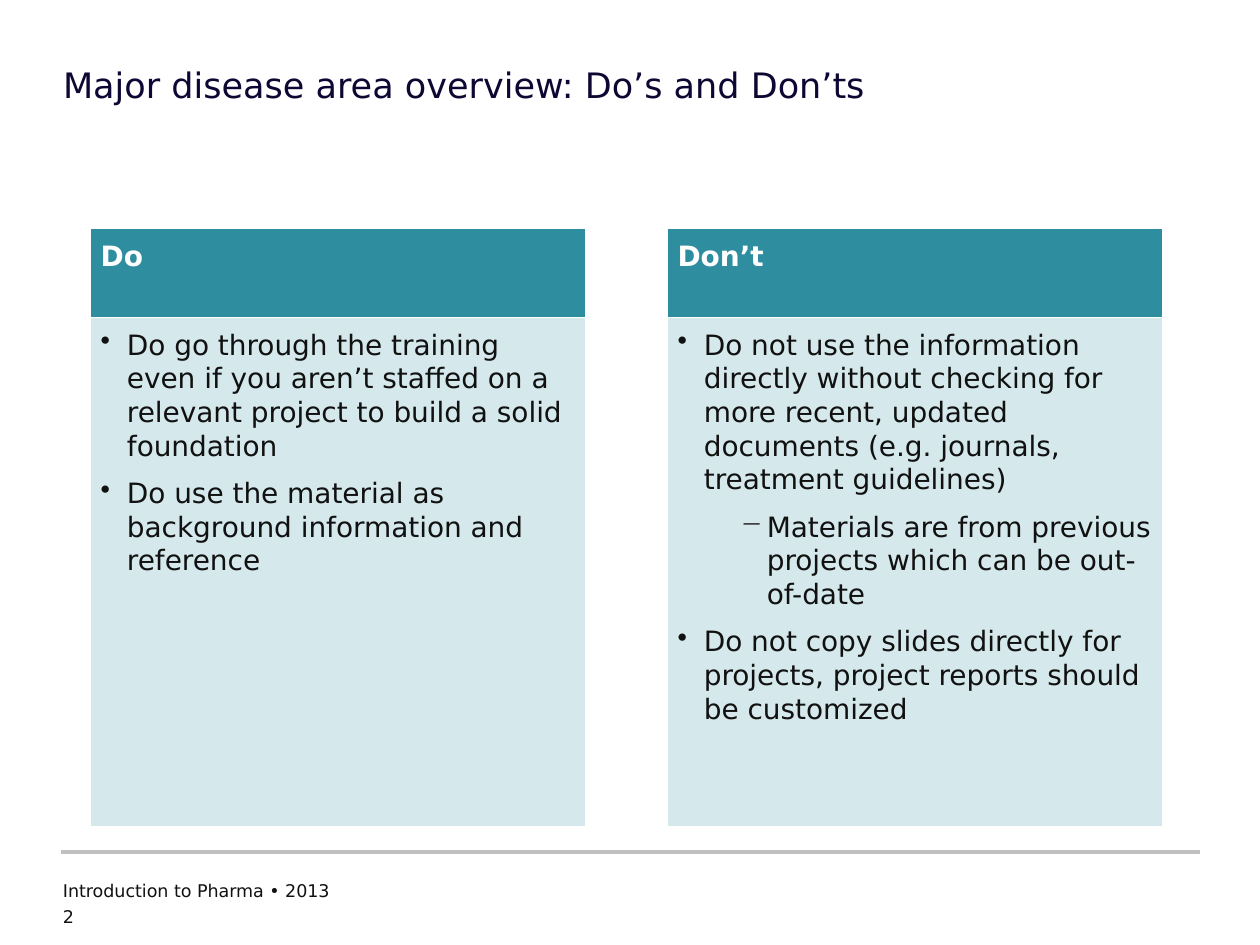
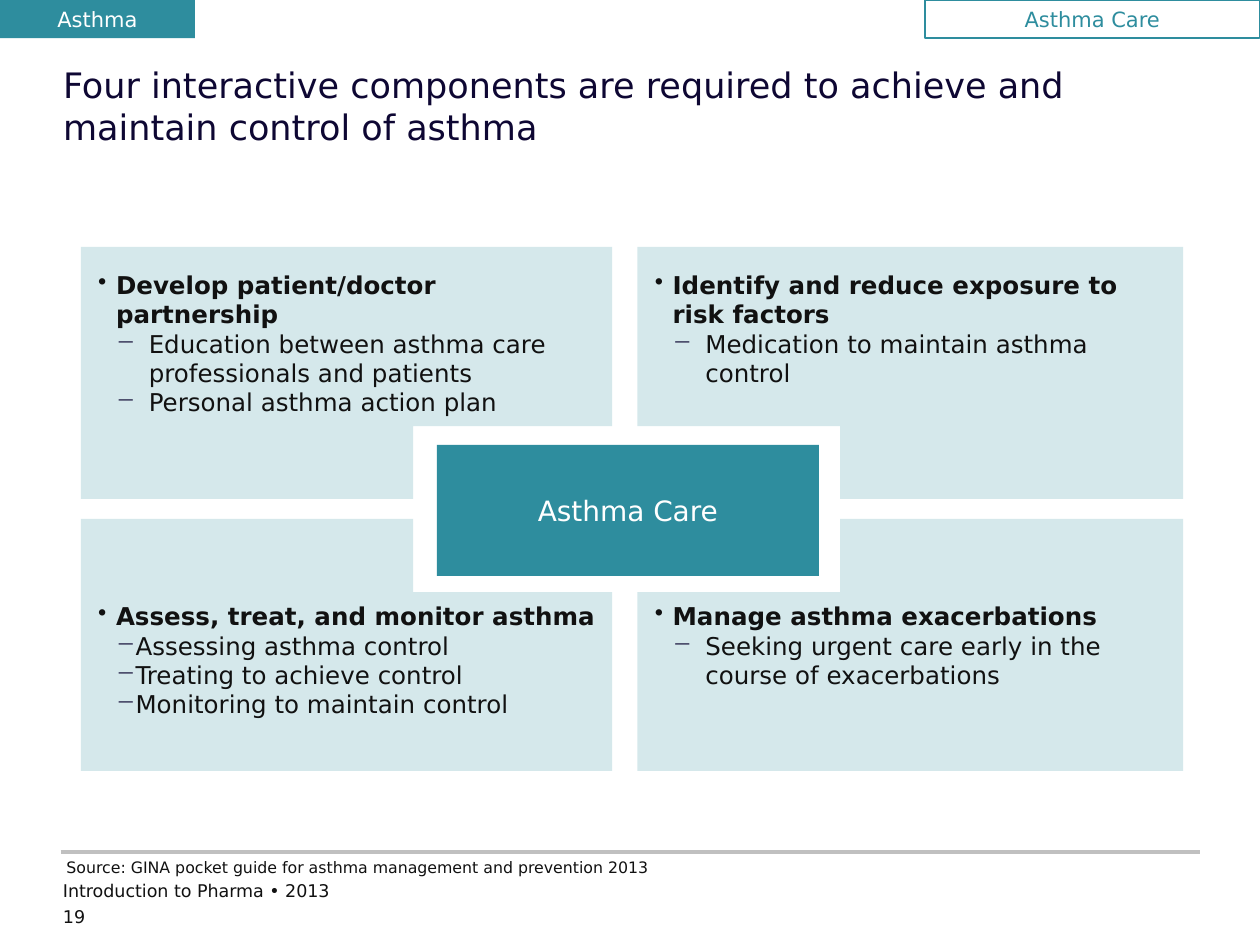
from lxml import etree
from pptx import Presentation
from pptx.dml.color import RGBColor
from pptx.enum.shapes import MSO_CONNECTOR, MSO_SHAPE
from pptx.enum.text import MSO_ANCHOR, MSO_AUTO_SIZE, PP_ALIGN
from pptx.oxml.ns import qn
from pptx.util import Cm, Pt

TEAL = RGBColor(0x2E, 0x8D, 0x9E)
NAVY = RGBColor(0x0E, 0x07, 0x33)
INK = RGBColor(0x11, 0x11, 0x11)
GREY = RGBColor(0xC0, 0xC0, 0xC0)
WHITE = RGBColor(0xFF, 0xFF, 0xFF)
FONT = "DejaVu Sans"

# Each bullet style: mark, level, left margin and hang in cm
POINT = ("•", 0, 0.53, 0.53)
NOTE = ("−", 1, 1.8, 0.53)
HEAD = ("•", 0, 0.36, 0.36)
WIDE = ("−", 1, 1.02, 0.66)
TIGHT = ("−", 1, 0.72, 0.36)

COLUMNS = [
    ("Do", [
        (POINT, "Do go through the training even if you aren’t staffed on a "
                "relevant project to build a solid foundation"),
        (POINT, "Do use the material as background information and reference"),
    ]),
    ("Don’t", [
        (POINT, "Do not use the information directly without checking for more "
                "recent, updated documents (e.g. journals, treatment guidelines)"),
        (NOTE, "Materials are from previous projects which can be out-of-date"),
        (POINT, "Do not copy slides directly for projects, project reports "
                "should be customized"),
    ]),
]

# Care components, row by row: heading, bullet style, details
CARE = [
    [("Develop patient/doctor partnership", WIDE,
      ["Education between asthma care professionals and patients",
       "Personal asthma action plan"]),
     ("Identify and reduce exposure to risk factors", WIDE,
      ["Medication to maintain asthma control"])],
    [("Assess, treat, and monitor asthma", TIGHT,
      ["Assessing asthma control", "Treating to achieve control",
       "Monitoring to maintain control"]),
     ("Manage asthma exacerbations", WIDE,
      ["Seeking urgent care early in the course of exacerbations"])],
]


def place(box):
    return [Cm(size) for size in box]


def add_run(para, text, size, color, bold=False):
    run = para.add_run()
    run.text = text
    font = run.font
    font.name, font.size, font.bold = FONT, Pt(size), bold
    font.color.rgb = color


def set_frame(frame, inset=0, anchor=MSO_ANCHOR.TOP, wrap=True):
    frame.auto_size = MSO_AUTO_SIZE.NONE
    frame.word_wrap = wrap
    frame.vertical_anchor = anchor
    frame.margin_left = frame.margin_right = Cm(inset)
    frame.margin_top = frame.margin_bottom = Cm(inset)


def set_bullet(para, style, color=None):
    mark, level, left, hang = style
    para.level = level
    props = para._p.get_or_add_pPr()
    props.set("marL", str(Cm(left)))
    props.set("indent", str(-Cm(hang)))
    if color is not None:
        tint = etree.SubElement(props, qn("a:buClr"))
        etree.SubElement(tint, qn("a:srgbClr")).set("val", str(color))
    etree.SubElement(props, qn("a:buChar")).set("char", mark)


def next_para(frame, index):
    return frame.add_paragraph() if index else frame.paragraphs[0]


def paint(shape, fill, line=None, alpha=None):
    shape.shadow.inherit = False
    if fill is None:
        shape.fill.background()
    else:
        shape.fill.solid()
        shape.fill.fore_color.rgb = fill
    if alpha:
        color = shape._element.spPr.find(qn("a:solidFill"))[0]
        etree.SubElement(color, qn("a:alpha")).set("val", str(alpha * 1000))
    if line is None:
        shape.line.fill.background()
    else:
        shape.line.color.rgb = line
        shape.line.width = Pt(0.75)


def add_rect(slide, box, fill, line=None, alpha=None):
    shape = slide.shapes.add_shape(MSO_SHAPE.RECTANGLE, *place(box))
    paint(shape, fill, line, alpha)
    return shape


def add_label(slide, box, text, size, color, wrap=True):
    frame = slide.shapes.add_textbox(*place(box)).text_frame
    set_frame(frame, wrap=wrap)
    para = frame.paragraphs[0]
    para.alignment = PP_ALIGN.LEFT
    add_run(para, text, size, color)


def add_tag(slide, box, text, size, color, fill, line=None):
    frame = add_rect(slide, box, fill, line).text_frame
    set_frame(frame, anchor=MSO_ANCHOR.MIDDLE, wrap=False)
    para = frame.paragraphs[0]
    para.alignment = PP_ALIGN.CENTER
    add_run(para, text, size, color)


def add_base(deck, title, number):
    """Slide with the shared title, rule and footer."""
    slide = deck.slides.add_slide(deck.slide_layouts[5])
    holder = slide.shapes.title
    holder.left, holder.top, holder.width, holder.height = place(
        (1.27, 1.27, 22.86, 2.54))
    set_frame(holder.text_frame)
    para = holder.text_frame.paragraphs[0]
    para.alignment = PP_ALIGN.LEFT
    add_run(para, title, 20, NAVY)

    rule = slide.shapes.add_connector(
        MSO_CONNECTOR.STRAIGHT, *place((1.22, 17.17, 24.2, 17.17)))
    rule.line.color.rgb = GREY
    rule.line.width = Pt(2)
    etree.SubElement(rule._element.spPr, qn("a:effectLst"))
    add_label(slide, (1.27, 17.75, 16.97, 0.58),
              "Introduction to Pharma • 2013", 10, INK)
    add_label(slide, (1.27, 18.26, 1.22, 0.51), number, 10, INK)
    return slide


def add_column(slide, box, head, points):
    """Header bar above a tinted list."""
    left, top, width, height = box
    bar = 1.8
    frame = add_rect(slide, (left, top, width, bar), TEAL, WHITE).text_frame
    set_frame(frame, 0.2)
    frame.paragraphs[0].alignment = PP_ALIGN.LEFT
    add_run(frame.paragraphs[0], head, 16, WHITE, True)

    body = (left, top + bar, width, height - bar)
    frame = add_rect(slide, body, TEAL, WHITE, 20).text_frame
    set_frame(frame, 0.2)
    for index, (style, text) in enumerate(points):
        para = next_para(frame, index)
        para.alignment = PP_ALIGN.LEFT
        para.space_before = Pt(8 if index else 0)
        set_bullet(para, style)
        add_run(para, text, 16, INK)


def add_panel(slide, box, notch, row, col):
    """Tinted panel whose corner nearest the centre is cut out."""
    left, top, width, height = box
    xs, ys = (left, left + width), (top, top + height)
    far_x, near_x = xs[col], xs[1 - col]
    far_y, near_y = ys[row], ys[1 - row]
    cut_x = notch[0] + notch[2] * col
    cut_y = notch[1] + notch[3] * row
    points = [(near_x, far_y), (near_x, cut_y), (cut_x, cut_y),
              (cut_x, near_y), (far_x, near_y), (far_x, far_y)]
    first, *rest = [place(point) for point in points]
    maker = slide.shapes.build_freeform(*first)
    maker.add_line_segments(rest, close=True)
    paint(maker.convert_to_shape(), TEAL, alpha=20)


def add_list(slide, box, head, style, details):
    frame = slide.shapes.add_textbox(*place(box)).text_frame
    set_frame(frame)
    set_bullet(frame.paragraphs[0], HEAD)
    add_run(frame.paragraphs[0], head, 14, INK, True)
    for text in details:
        para = frame.add_paragraph()
        set_bullet(para, style, NAVY)
        add_run(para, text, 14, INK)


def add_grid(slide, box):
    """Four panels around a central block."""
    left, top, width, height = box
    gap, side, widths = 0.4, (height - 0.4) / 2, (10.71, 11)
    notch = (left + 6.7, top + 3.61, 8.61, 3.35)
    for row, parts in enumerate(CARE):
        for col, part in enumerate(parts):
            x = left + (width - widths[1]) * col
            y = top + (side + gap) * row
            add_panel(slide, (x, y, widths[col], side), notch, row, col)
            add_list(slide, (x + 0.35, top + 0.46 + 6.68 * row, 10.03, 3),
                     *part)
    add_tag(slide, (left + 7.18, top + 3.99, 7.7, 2.64),
            "Asthma Care", 16, WHITE, TEAL)


def make_advice(deck):
    slide = add_base(deck, "Major disease area overview: Do’s and Don’ts", "2")
    for index, (head, points) in enumerate(COLUMNS):
        add_column(slide, (1.83 + 11.63 * index, 4.6, 9.98, 12.06),
                   head, points)


def make_care(deck):
    slide = add_base(deck, "Four interactive components are required to "
                           "achieve and maintain control of asthma", "19")
    add_tag(slide, (18.65, 0, 6.74, 0.77), "Asthma Care", 12, TEAL, None, TEAL)
    add_tag(slide, (0, 0, 3.93, 0.77), "Asthma", 12, WHITE, TEAL)
    add_grid(slide, (1.63, 4.98, 22.22, 10.56))
    add_label(slide, (1.34, 17.29, 12.12, 0.38),
              "Source: GINA pocket guide for asthma management and "
              "prevention 2013", 9, INK, wrap=False)


def main():
    deck = Presentation()
    deck.slide_width, deck.slide_height = Cm(25.4), Cm(19.05)
    make_advice(deck)
    make_care(deck)
    deck.save("out.pptx")


if __name__ == "__main__":
    main()
